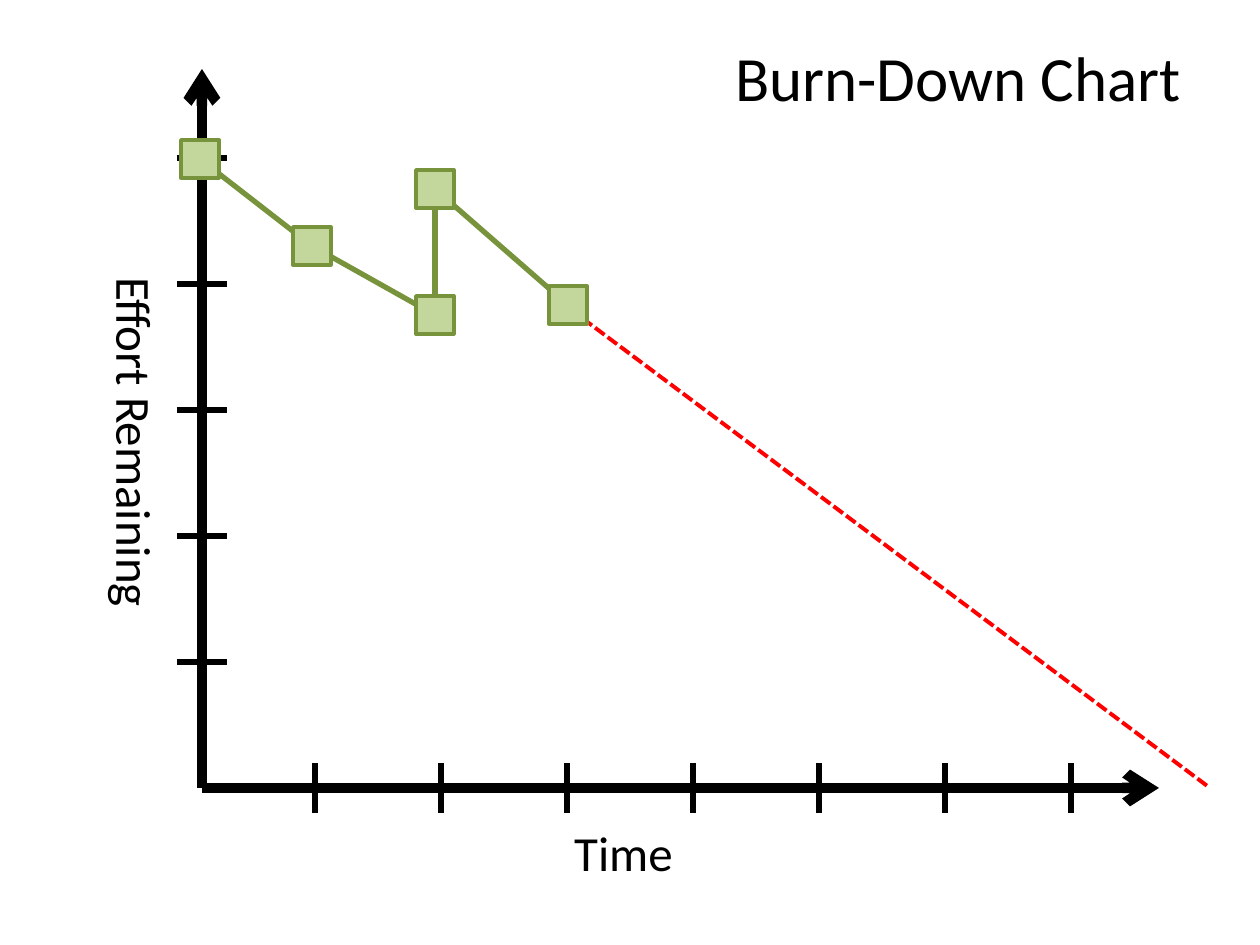
from itertools import pairwise

from pptx import Presentation
from pptx.dml.color import RGBColor
from pptx.enum.dml import MSO_LINE
from pptx.enum.shapes import MSO_CONNECTOR, MSO_SHAPE
from pptx.enum.text import MSO_ANCHOR, MSO_AUTO_SIZE, PP_ALIGN
from pptx.oxml.ns import qn
from pptx.oxml.xmlchemy import OxmlElement
from pptx.util import Emu, Pt

# Content: text with its box (left, top, width, height) in px
TITLE = ("Burn-Down Chart", (706, 32, 504, 89))
TIME_LABEL = ("Time", (441, 816, 365, 72))
EFFORT_LABEL = ("Effort Remaining", (-47, 406, 365, 72))

# Burn-down points, in order of time; the effort jumps up at the third
PROGRESS = [(200, 159), (312, 246), (435, 315), (435, 189), (568, 305)]
FORECAST = ((570, 309), (1210, 788))

# Axes
ORIGIN_X, ORIGIN_Y = 202, 788
EFFORT_TOP, TIME_END = 69, 1159
UNIT = 126
EFFORT_TICKS, TIME_TICKS = 5, 7
FIRST_TIME_TICK = 315
TICK_REACH = 25
MARKER_SIZE = 38

THEME = {
    "font": "Calibri",
    "title_size": 36, "label_size": 28,
    "ink": "000000", "progress": "77933C", "marker": "C3D69B", "forecast": "FF0000",
    "axis_width": 6, "line_width": 3, "forecast_width": 2.25, "marker_width": 2,
}
SCALE = 914400 // 126


def px(value):
    return Emu(round(value * SCALE))


def color(role):
    return RGBColor.from_string(THEME[role])


def write(holder, content, size_role):
    text, box = content
    holder.left, holder.top, holder.width, holder.height = map(px, box)
    frame = holder.text_frame
    frame.text = text
    frame.word_wrap = True
    frame.auto_size = MSO_AUTO_SIZE.NONE
    frame.vertical_anchor = MSO_ANCHOR.TOP
    paragraph = frame.paragraphs[0]
    paragraph.alignment = PP_ALIGN.CENTER
    paragraph.font.name = THEME["font"]
    paragraph.font.size = Pt(THEME[size_role])
    paragraph.font.color.rgb = color("ink")


def draw_line(slide, start, end, color_role, width_role, dash=None, arrow=False):
    connector = slide.shapes.add_connector(
        MSO_CONNECTOR.STRAIGHT, *map(px, (*start, *end)))
    connector.line.color.rgb = color(color_role)
    connector.line.width = Pt(THEME[width_role])
    if dash:
        connector.line.dash_style = dash
    properties = connector._element.spPr
    if arrow:
        tail = OxmlElement("a:tailEnd")
        tail.set("type", "arrow")
        properties.find(qn("a:ln")).append(tail)
    properties.append(OxmlElement("a:effectLst"))


def draw_marker(slide, center):
    x, y = (value - MARKER_SIZE / 2 for value in center)
    marker = slide.shapes.add_shape(
        MSO_SHAPE.RECTANGLE, *map(px, (x, y, MARKER_SIZE, MARKER_SIZE)))
    marker.shadow.inherit = False
    marker.fill.solid()
    marker.fill.fore_color.rgb = color("marker")
    marker.line.color.rgb = color("progress")
    marker.line.width = Pt(THEME["marker_width"])


def main():
    deck = Presentation()
    deck.slide_width, deck.slide_height = px(1260), px(945)
    slide = deck.slides.add_slide(deck.slide_layouts[5])

    # Title and axis labels
    write(slide.shapes.title, TITLE, "title_size")
    for label, turn in ((TIME_LABEL, 0), (EFFORT_LABEL, 90)):
        holder = slide.shapes.add_textbox(0, 0, 0, 0)
        write(holder, label, "label_size")
        holder.rotation = turn

    # Forecast
    draw_line(slide, *FORECAST, "forecast", "forecast_width", dash=MSO_LINE.SQUARE_DOT)

    # Axes with their ticks
    origin = (ORIGIN_X, ORIGIN_Y)
    for tip in ((ORIGIN_X, EFFORT_TOP), (TIME_END, ORIGIN_Y)):
        draw_line(slide, origin, tip, "ink", "axis_width", arrow=True)
    for step in range(1, EFFORT_TICKS + 1):
        y = ORIGIN_Y - step * UNIT
        draw_line(slide, (ORIGIN_X - TICK_REACH, y), (ORIGIN_X + TICK_REACH, y),
                  "ink", "line_width")
    for step in range(TIME_TICKS):
        x = FIRST_TIME_TICK + step * UNIT
        draw_line(slide, (x, ORIGIN_Y + TICK_REACH), (x, ORIGIN_Y - TICK_REACH),
                  "ink", "line_width")

    # Progress line, then its markers on top
    for start, end in pairwise(PROGRESS):
        draw_line(slide, start, end, "progress", "line_width")
    for point in PROGRESS:
        draw_marker(slide, point)

    deck.save("out.pptx")


if __name__ == "__main__":
    main()
